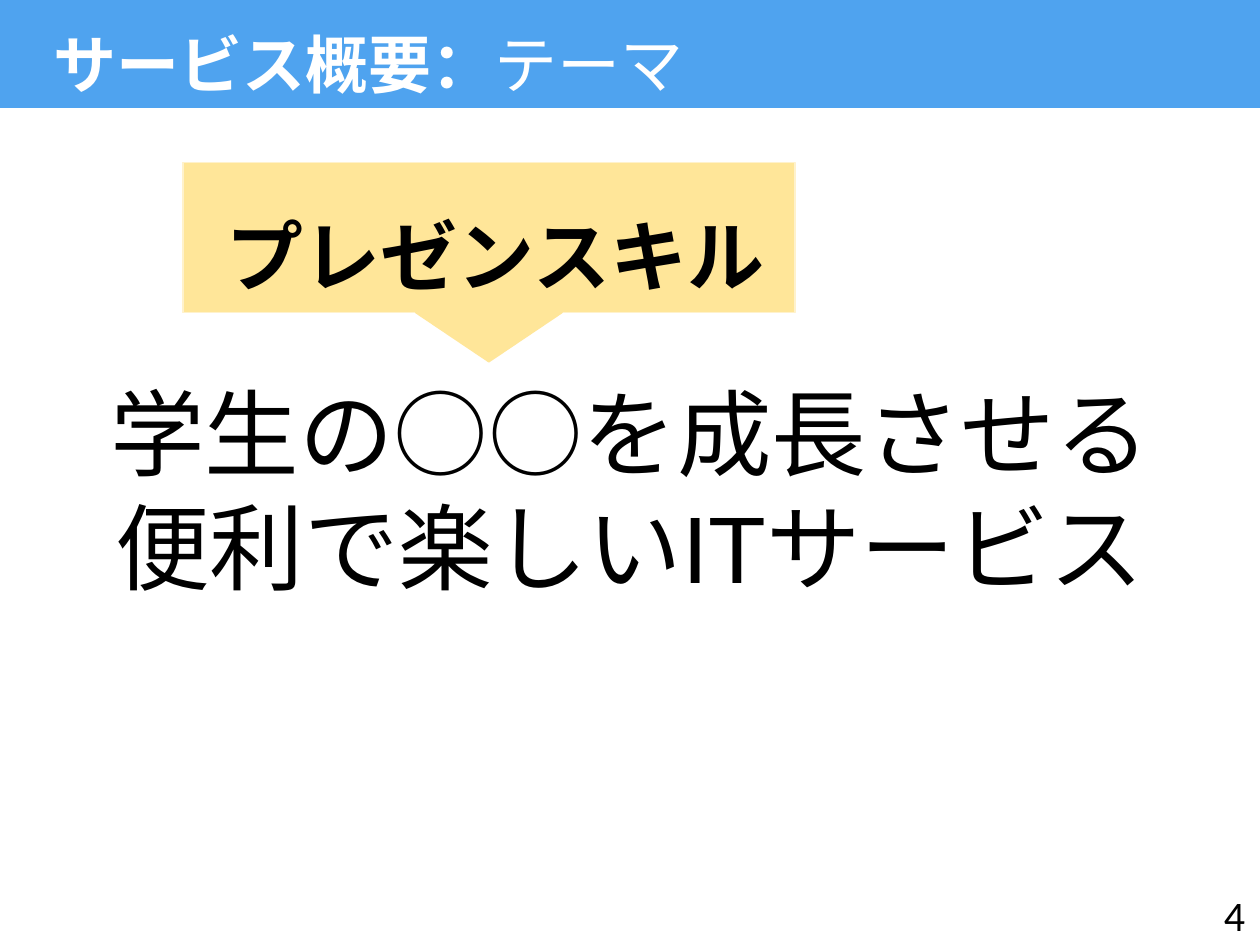
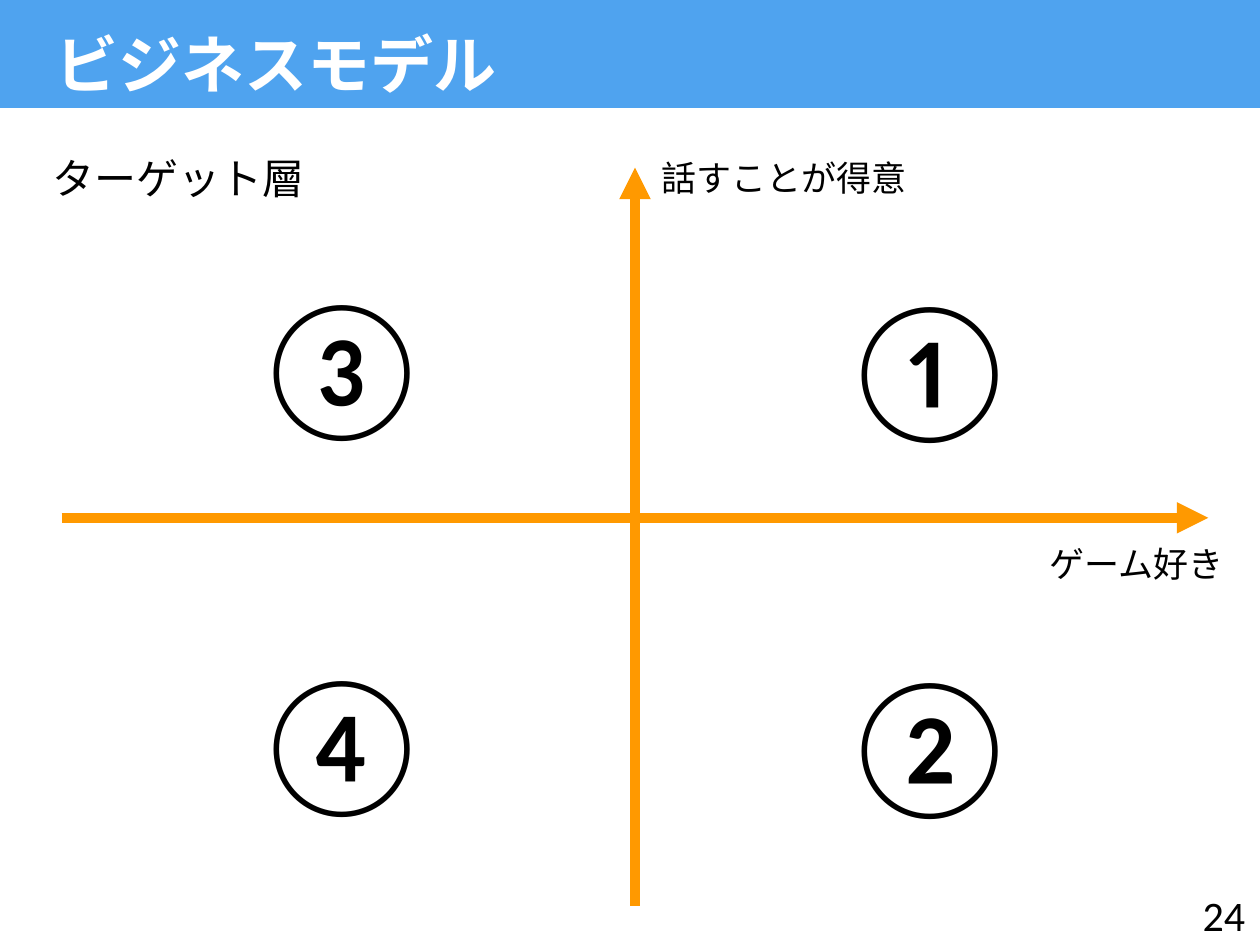
from dataclasses import dataclass
from typing import Optional

from lxml import etree
from pptx import Presentation
from pptx.dml.color import RGBColor
from pptx.enum import shapes, text
from pptx.oxml import ns
from pptx.util import Inches, Pt

BLUE = RGBColor(0x4F, 0xA3, 0xEF)
WHITE = RGBColor(0xFF, 0xFF, 0xFF)
BLACK = RGBColor(0x00, 0x00, 0x00)
YELLOW = RGBColor(0xFF, 0xE6, 0x99)
PALE_YELLOW = RGBColor(0xFF, 0xF2, 0xCC)
ORANGE = RGBColor(0xFF, 0x99, 0x00)

HEADING_FONT = "Arial"
LABEL_FONT = "Calibri"


@dataclass(frozen=True)
class Box:
    left: float
    top: float
    width: float
    height: float

    def lengths(self) -> tuple:
        return tuple(map(Inches, (self.left, self.top, self.width, self.height)))


@dataclass(frozen=True)
class Label:
    lines: tuple[str, ...]
    box: Box
    size: int
    font: str = LABEL_FONT
    color: RGBColor = BLACK
    bold: Optional[bool] = None
    align: text.PP_ALIGN = text.PP_ALIGN.LEFT
    wrap: bool = False
    grow: bool = True
    anchor: text.MSO_ANCHOR = text.MSO_ANCHOR.TOP


@dataclass(frozen=True)
class Axis:
    start: tuple[float, float]
    end: tuple[float, float]


def add_label(tree, label: Label):
    frame = tree.add_textbox(*label.box.lengths()).text_frame
    frame.word_wrap = label.wrap
    frame.vertical_anchor = label.anchor
    if label.grow:
        frame.auto_size = text.MSO_AUTO_SIZE.SHAPE_TO_FIT_TEXT
    for index, line in enumerate(label.lines):
        paragraph = frame.add_paragraph() if index else frame.paragraphs[0]
        paragraph.alignment = label.align
        paragraph.add_run().text = line
        paragraph.font.name = label.font
        paragraph.font.size = Pt(label.size)
        paragraph.font.color.rgb = label.color
        paragraph.font.bold = label.bold
    return frame


def add_panel(tree, kind: shapes.MSO_SHAPE, box: Box, fill: RGBColor, outline: RGBColor):
    panel = tree.add_shape(kind, *box.lengths())
    panel.shadow.inherit = False
    panel.fill.solid()
    panel.fill.fore_color.rgb = fill
    panel.line.color.rgb = outline
    panel.line.width = Pt(1)
    return panel


def add_axis(tree, axis: Axis) -> None:
    arrow = tree.add_connector(
        shapes.MSO_CONNECTOR.STRAIGHT, *map(Inches, axis.start + axis.end)
    )
    arrow.line.color.rgb = ORANGE
    arrow.line.width = Pt(6)
    etree.SubElement(arrow.line._get_or_add_ln(), ns.qn("a:tailEnd"), type="triangle")
    etree.SubElement(arrow._element.spPr, ns.qn("a:effectLst"))


def add_page(deck, title: str, title_box: Box, number: int, subtitle: str = ""):
    tree = deck.slides.add_slide(deck.slide_layouts[6]).shapes
    add_panel(tree, shapes.MSO_SHAPE.RECTANGLE, Box(0, 0, 10, 0.85), BLUE, BLUE)
    heading = add_label(tree, Label(
        (title,), title_box, 36, HEADING_FONT, WHITE, True, text.PP_ALIGN.CENTER))
    if subtitle:
        theme = heading.paragraphs[0].add_run()
        theme.text = subtitle
        theme.font.bold = False
    add_label(tree, Label(
        (str(number),), Box(7.73, 7.06, 2.25, 0.4), 24, align=text.PP_ALIGN.RIGHT,
        wrap=True, grow=False, anchor=text.MSO_ANCHOR.MIDDLE))
    return tree


def build_theme(deck) -> None:
    tree = add_page(deck, "サービス概要：", Box(0.3, 0.15, 5.25, 0.71), 4, "テーマ")
    slogan = add_label(tree, Label(
        ("学生の○○を成長させる", "便利で楽しいITサービス"),
        Box(0.72, 2.48, 8.56, 2.37), 54, HEADING_FONT,
        align=text.PP_ALIGN.CENTER, wrap=True))
    slogan.paragraphs[0].line_spacing = 1.5
    callout = tree.add_group_shape().shapes
    add_panel(callout, shapes.MSO_SHAPE.RECTANGLE,
              Box(1.45, 1.29, 4.86, 1.19), YELLOW, PALE_YELLOW)
    pointer = add_panel(callout, shapes.MSO_SHAPE.ISOSCELES_TRIANGLE,
                        Box(3.3, 2.48, 1.16, 0.39), YELLOW, YELLOW)
    pointer.rotation = 180
    add_label(callout, Label(
        ("プレゼンスキル",), Box(1.7, 1.61, 4.52, 0.84), 44, HEADING_FONT, bold=True))


def build_business_model(deck) -> None:
    tree = add_page(deck, "ビジネスモデル", Box(0.32, 0.15, 3.74, 0.71), 24)
    for axis in (Axis((0.49, 4.11), (9.59, 4.11)), Axis((5.04, 7.19), (5.04, 1.33))):
        add_axis(tree, axis)
    captions = (
        Label(("ターゲット層",), Box(0.32, 1.16, 2.22, 0.5), 24),
        Label(("ゲーム好き",), Box(8.23, 4.26, 1.6, 0.44), 20),
        Label(("話すことが得意",), Box(5.15, 1.19, 2.17, 0.44), 20),
    )
    quadrants = (
        ("①", 6.55, 2.17), ("②", 6.55, 5.15), ("③", 1.88, 2.15), ("④", 1.88, 5.14),
    )
    marks = tuple(
        Label((mark,), Box(left, top, 1.32, 1.45), 80) for mark, left, top in quadrants
    )
    for label in captions + marks:
        add_label(tree, label)


def main() -> None:
    deck = Presentation()
    deck.slide_width, deck.slide_height = Inches(10), Inches(7.5)
    build_theme(deck)
    build_business_model(deck)
    deck.save("out.pptx")


if __name__ == "__main__":
    main()
